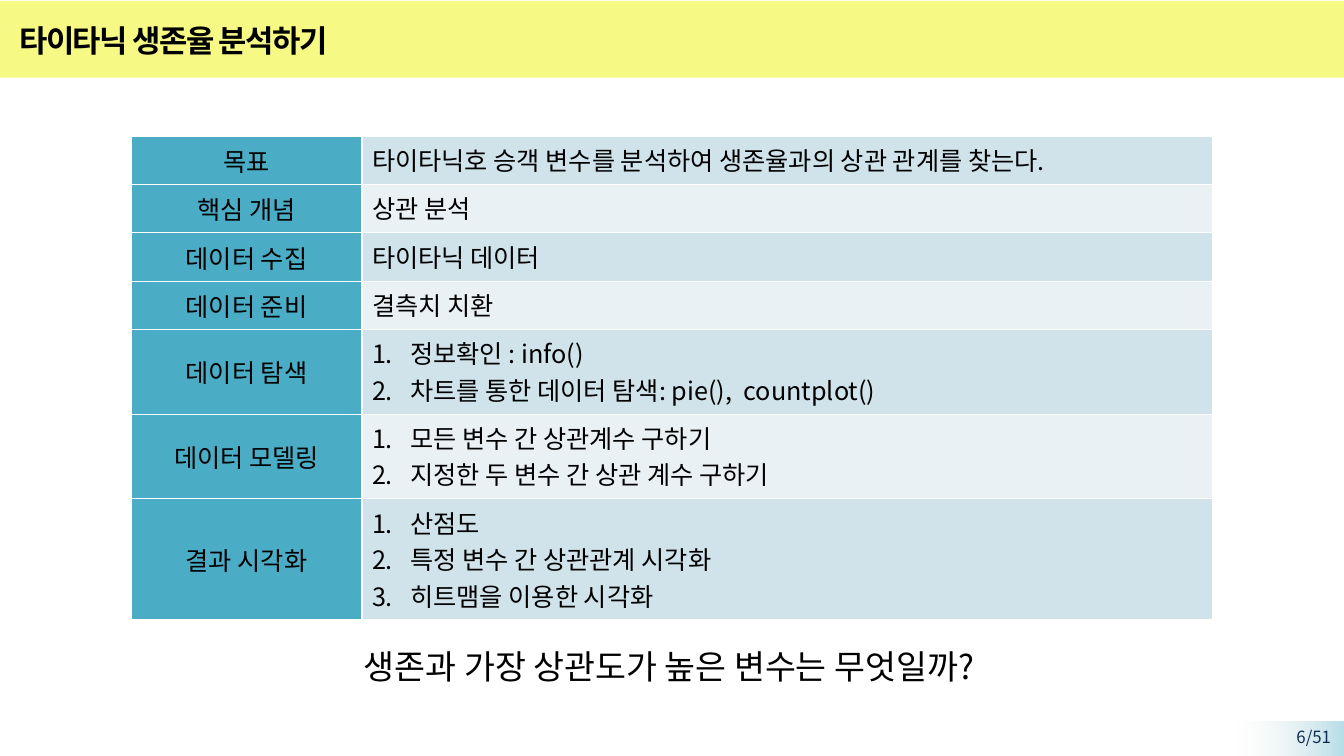
from lxml.etree import SubElement
from pptx import Presentation
from pptx.dml.color import RGBColor
from pptx.enum.shapes import MSO_SHAPE
from pptx.enum.text import MSO_ANCHOR, PP_ALIGN
from pptx.oxml.ns import qn
from pptx.util import Inches, Pt

TITLE = "타이타닉 생존율 분석하기"
QUESTION = "생존과 가장 상관도가 높은 변수는 무엇일까?"
PAGE_NUMBER = "6/51"
# A plain string is one line; a list is numbered.
PLAN = [
    ("목표", "타이타닉호 승객 변수를 분석하여 생존율과의 상관 관계를 찾는다."),
    ("핵심 개념", "상관 분석"),
    ("데이터 수집", "타이타닉 데이터"),
    ("데이터 준비", "결측치 치환"),
    ("데이터 탐색", ["정보확인 : info()", "차트를 통한 데이터 탐색: pie(),  countplot()"]),
    ("데이터 모델링", ["모든 변수 간 상관계수 구하기", "지정한 두 변수 간 상관 계수 구하기"]),
    ("결과 시각화", ["산점도", "특정 변수 간 상관관계 시각화", "히트맴을 이용한 시각화"]),
]
FONT = "Noto Sans CJK KR"
COLORS = {
    "band": "F6F983", "label": "4BACC6", "odd": "D0E3EA", "even": "E9F1F5",
    "text": "000000", "page": "0F2E53", "border": "FFFFFF",
    "corner": "B7DEE8", "corner_end": "F2F2F2",
}
WIDTH, HEIGHT = 13.33, 7.5
COLUMNS = (2.29, 8.44)
ROW, EXTRA_LINE = 0.48, 0.36
TABLE_LEFT, TABLE_TOP = (WIDTH - sum(COLUMNS)) / 2, 1.35
CORNER_TOP = 7.16


def color(name):
    return RGBColor.from_string(COLORS[name])


def inches(*lengths):
    return [Inches(length) for length in lengths]


def write(frame, lines, size=18, ink="text", bold=False, align=PP_ALIGN.LEFT,
          numbered=False, spacing=None):
    for index, line in enumerate(lines):
        para = frame.paragraphs[0] if index == 0 else frame.add_paragraph()
        para.alignment = align
        span = para.add_run()
        span.text = line
        span.font.name, span.font.size, span.font.bold = FONT, Pt(size), bold
        span.font.color.rgb = color(ink)
        properties = span.font._element
        SubElement(properties, qn("a:ea"), typeface=FONT)
        if spacing is not None:
            properties.set("spc", str(spacing * 100))
        if numbered:
            indent = Inches(0.38)
            settings = para._p.get_or_add_pPr()
            settings.set("marL", str(indent))
            settings.set("indent", str(-indent))
            SubElement(settings, qn("a:buFont"), typeface="+mj-lt")
            SubElement(settings, qn("a:buAutoNum"), type="arabicPeriod")


def add_rectangle(slide, *place):
    box = slide.shapes.add_shape(MSO_SHAPE.RECTANGLE, *inches(*place))
    box.shadow.inherit = False
    box.line.fill.background()
    return box


def add_text(slide, place, text, **style):
    box = slide.shapes.add_textbox(*inches(*place))
    box.text_frame.word_wrap = True
    write(box.text_frame, [text], **style)


def style_cell(cell, fill):
    properties = cell._tc.get_or_add_tcPr()
    for side in ("lnL", "lnR", "lnT", "lnB"):
        line = SubElement(properties, qn("a:" + side), w=str(Pt(1)))
        paint = SubElement(line, qn("a:solidFill"))
        SubElement(paint, qn("a:srgbClr"), val=COLORS["border"])
    cell.fill.solid()
    cell.fill.fore_color.rgb = color(fill)


def add_frame(slide):
    """Draw the title band, the title and the page corner."""
    band = add_rectangle(slide, 0, 0.01, WIDTH, 0.76)
    band.fill.solid()
    band.fill.fore_color.rgb = color("band")
    slide.shapes._spTree.insert(2, band._element)

    title = slide.shapes.title
    title.left, title.top, title.width, title.height = inches(0.09, 0.14, 11.35, 0.52)
    title.text_frame.vertical_anchor = MSO_ANCHOR.MIDDLE
    write(title.text_frame, [TITLE], size=22, bold=True, spacing=-1)

    corner = add_rectangle(slide, WIDTH - 1.07, CORNER_TOP, 1.07, HEIGHT - CORNER_TOP)
    corner.fill.gradient()
    corner.fill.gradient_angle = 180
    for stop, name in zip(corner.fill.gradient_stops, ("corner", "corner_end")):
        stop.color.rgb = color(name)
    last_color = list(corner.fill._xPr.iter(qn("a:srgbClr")))[-1]
    SubElement(last_color, qn("a:alpha"), val="0")
    add_text(slide, (12.07, CORNER_TOP, 1.23, 0.23), PAGE_NUMBER,
             size=12, ink="page", align=PP_ALIGN.RIGHT)


def add_plan(slide):
    line_counts = [1 if isinstance(body, str) else len(body) for _, body in PLAN]
    heights = [ROW + EXTRA_LINE * (count - 1) for count in line_counts]
    place = inches(TABLE_LEFT, TABLE_TOP, sum(COLUMNS), sum(heights))
    table = slide.shapes.add_table(len(PLAN), len(COLUMNS), *place).table
    for column, width in zip(table.columns, COLUMNS):
        column.width = Inches(width)
    for index, (label, body) in enumerate(PLAN):
        table.rows[index].height = Inches(heights[index])
        label_cell, body_cell = table.rows[index].cells
        style_cell(label_cell, "label")
        label_cell.vertical_anchor = MSO_ANCHOR.MIDDLE
        write(label_cell.text_frame, [label], align=PP_ALIGN.CENTER)
        style_cell(body_cell, "even" if index % 2 else "odd")
        numbered = isinstance(body, list)
        write(body_cell.text_frame, body if numbered else [body], numbered=numbered)


def main():
    deck = Presentation()
    deck.slide_width, deck.slide_height = inches(WIDTH, HEIGHT)
    slide = deck.slides.add_slide(deck.slide_layouts[5])
    add_frame(slide)
    add_plan(slide)
    add_text(slide, (3.51, 6.36, 7.01, 0.5), QUESTION, size=24)
    deck.save("out.pptx")


if __name__ == "__main__":
    main()
